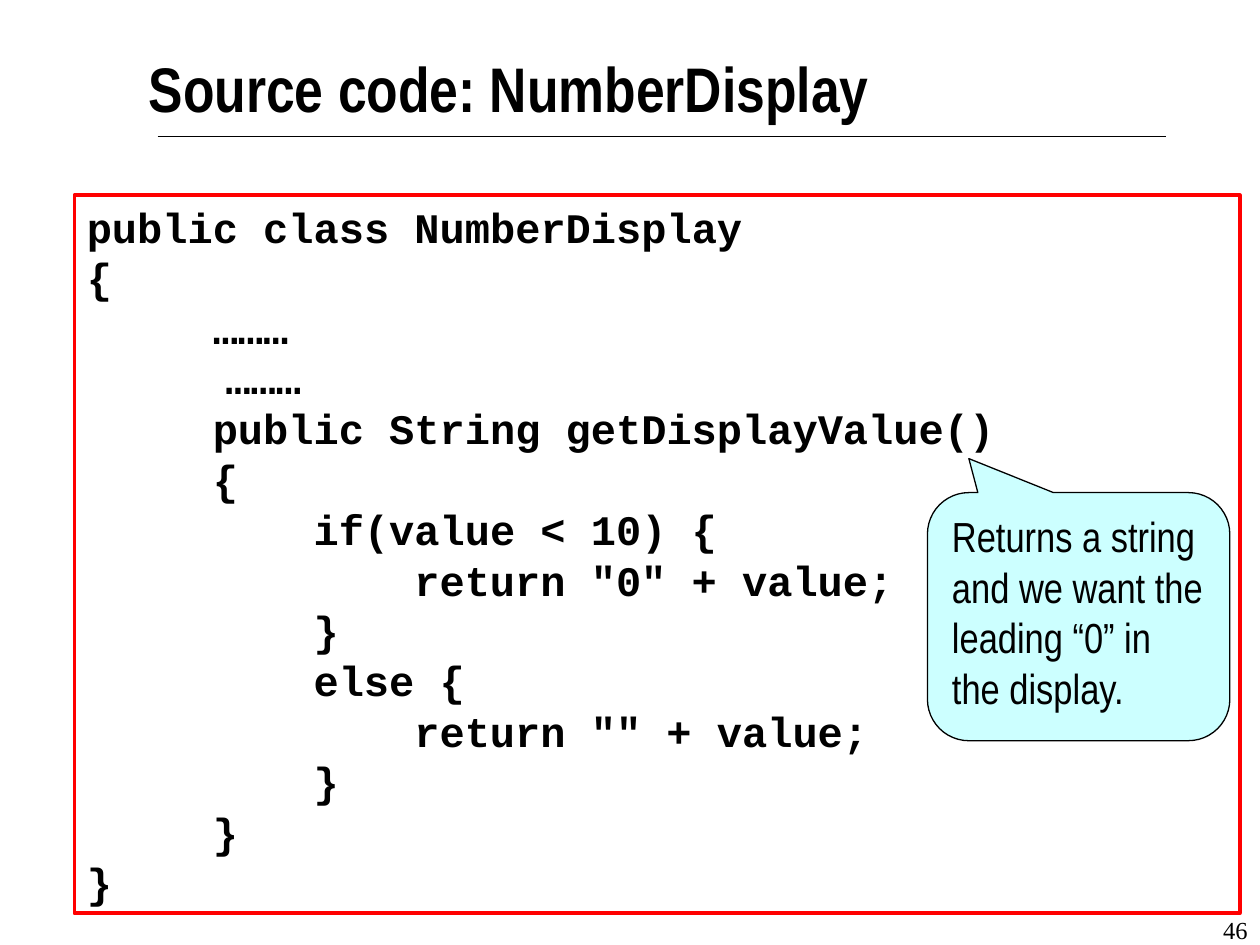
from pptx import Presentation
from pptx.dml.color import RGBColor
from pptx.enum.shapes import MSO_CONNECTOR, MSO_SHAPE
from pptx.enum.text import MSO_ANCHOR, PP_ALIGN
from pptx.util import Pt
from lxml.etree import SubElement
from pptx.oxml.ns import qn

HUES = {"ink": "000000", "paper": "FFFFFF", "frame": "FF0000", "note": "CCFFFF"}
STEP = 57.6
BODY = 72
CODE = [
    (0, "public class NumberDisplay"),
    (0, "{"),
    (BODY, "………"),
    (BODY + 7.2, "………"),
    (BODY, "public String getDisplayValue()"),
    (BODY, "{"),
    (BODY + STEP, "if(value < 10) {"),
    (BODY + 2 * STEP, 'return "0" + value;'),
    (BODY + STEP, "}"),
    (BODY + STEP, "else {"),
    (BODY + 2 * STEP, 'return "" + value;'),
    (BODY + STEP, "}"),
    (BODY, "}"),
    (0, "}"),
]


def hue(name):
    return RGBColor.from_string(HUES[name])


def write(shape, lines, face, size, bold=False, align=PP_ALIGN.LEFT, pad=(7.2, 3.6), lead=None):
    frame = shape.text_frame
    frame.word_wrap = True
    frame.vertical_anchor = MSO_ANCHOR.TOP
    frame.margin_left = frame.margin_right = Pt(pad[0])
    frame.margin_top = frame.margin_bottom = Pt(pad[1])
    for i, (left, text) in enumerate(lines):
        par = frame.paragraphs[0] if i == 0 else frame.add_paragraph()
        par.text = text
        par.alignment = align
        if lead:
            par.line_spacing = Pt(lead)
        if left:
            props = par._p.get_or_add_pPr()
            props.set("marL", str(Pt(left)))
            props.set("indent", "0")
        font = par.font
        font.name, font.size, font.bold = face, Pt(size), bold
        font.color.rgb = hue("ink")


def label(slide, box, text, face, size, **style):
    shape = slide.shapes.add_textbox(*map(Pt, box))
    write(shape, [(0, text)], face, size, **style)


def panel(slide, kind, box, fill, line, width):
    shape = slide.shapes.add_shape(kind, *map(Pt, box))
    shape.shadow.inherit = False
    shape.fill.solid()
    shape.fill.fore_color.rgb = hue(fill)
    shape.line.color.rgb = hue(line)
    shape.line.width = Pt(width)
    return shape


def rule(slide, left, right, top):
    line = slide.shapes.add_connector(MSO_CONNECTOR.STRAIGHT, Pt(left), Pt(top), Pt(right), Pt(top))
    line.line.color.rgb = hue("ink")
    line.line.width = Pt(0.75)
    SubElement(line._element.spPr, qn("a:effectLst"))


def main():
    deck = Presentation()
    deck.slide_width, deck.slide_height = Pt(720), Pt(540)
    slide = deck.slides.add_slide(deck.slide_layouts[6])
    rule(slide, 90, 666, 78)
    label(slide, (85, 28, 551, 54), "Source code: NumberDisplay", "Arial Narrow", 36, bold=True, pad=(0, 0))
    code = panel(slide, MSO_SHAPE.RECTANGLE, (42.5, 111.5, 666, 410.4), "paper", "frame", 2)
    write(code, CODE, "Courier New", 24, bold=True, lead=28.8)
    note = panel(slide, MSO_SHAPE.ROUNDED_RECTANGULAR_CALLOUT, (530, 281.5, 172.8, 141.8), "note", "ink", 0.75)
    for i, value in enumerate((-0.363, -0.637, 0.167)):
        note.adjustments[i] = value
    write(note, [(0, "Returns a string and we want the leading “0” in the display.")], "Arial Narrow", 24)
    label(slide, (570, 523, 150, 17), "46", "Times New Roman", 14, align=PP_ALIGN.RIGHT, pad=(7.2, 0))
    deck.save("out.pptx")


if __name__ == "__main__":
    main()
